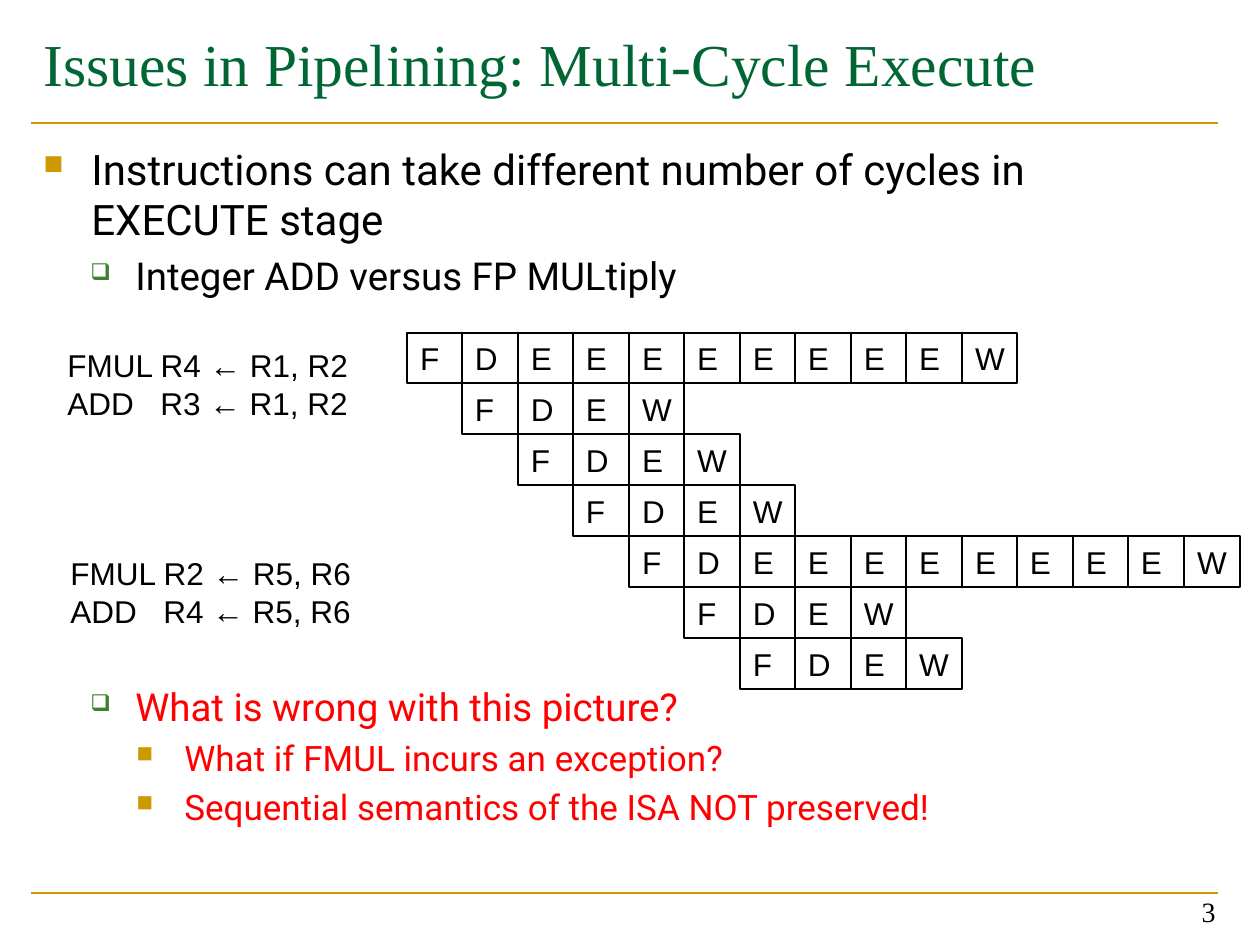
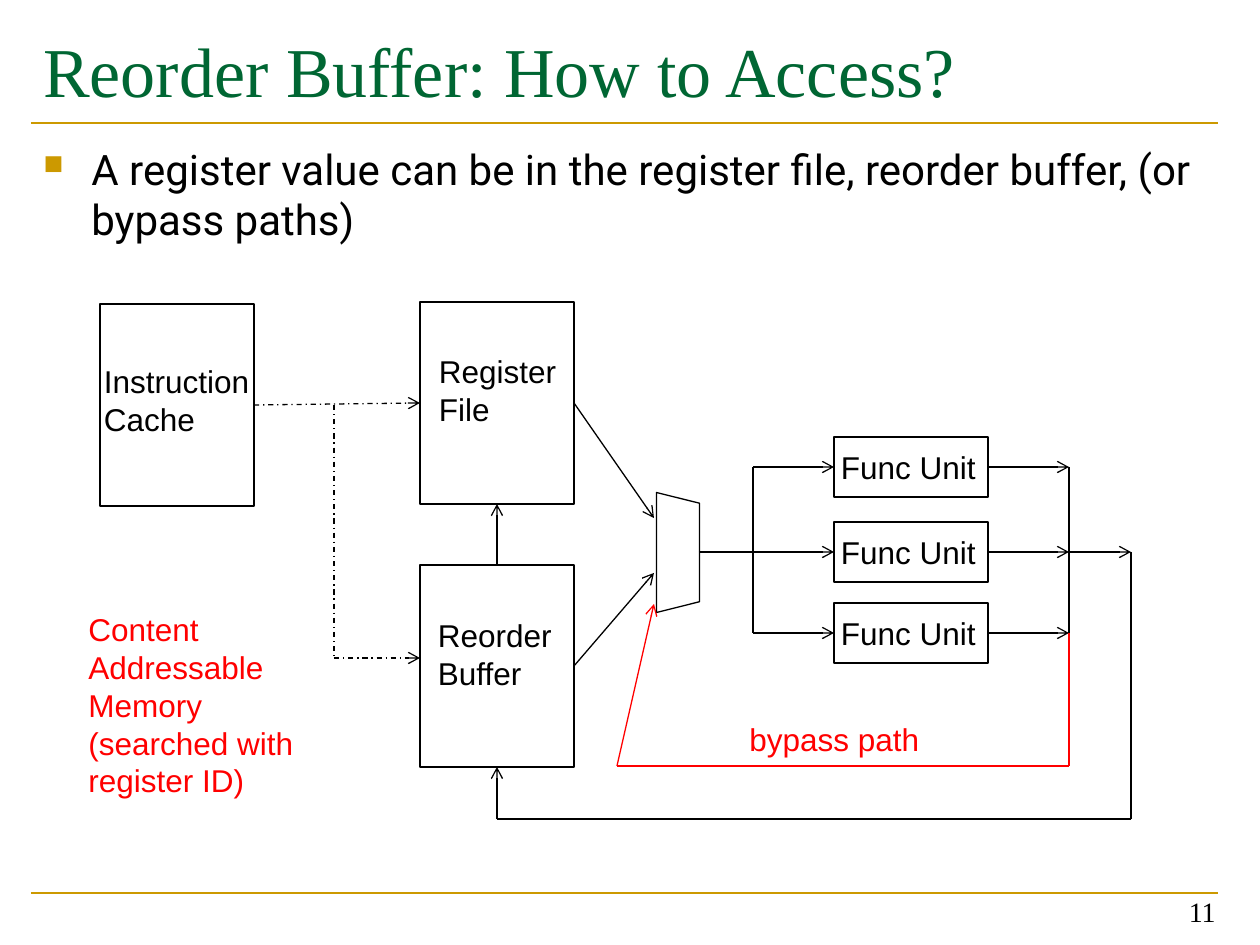
from dataclasses import dataclass
from itertools import pairwise

from lxml.etree import SubElement
from pptx import Presentation
from pptx.dml.color import RGBColor
from pptx.enum.dml import MSO_LINE
from pptx.enum.shapes import MSO_CONNECTOR as CONN, MSO_SHAPE as SHAPE
from pptx.enum.text import MSO_ANCHOR as ANCHOR, PP_ALIGN as ALIGN
from pptx.oxml.ns import qn
from pptx.util import Pt

EMU_PER_PX = 914400 / 126
TOP, LEFT, BOTTOM, RIGHT = range(4)  # connection sites of a rectangle


@dataclass(frozen=True)
class Theme:
    gold: str = "CC9900"
    title: str = "006633"
    green: str = "3B812F"
    black: str = "000000"
    white: str = "FFFFFF"
    red: str = "FF0000"
    serif: str = "Times New Roman"
    body: str = "Roboto"
    sans: str = "Arial"
    label_size: int = 18
    page_size: int = 16
    rule_width: float = 1.5
    line_width: float = 0.75


THEME = Theme()

# Per outline level: left margin, hanging indent, bullet, colour, percent, size
LEVELS = (
    (48, 48, "■", THEME.gold, 65, 24),
    (92, 45, "❑", THEME.green, 60, 22),
    (141, 48, "■", THEME.gold, 65, 20),
)


def px(n):
    return round(n * EMU_PER_PX)


def rgb(value):
    return RGBColor.from_string(value)


# Text
def style(p, size, font, color):
    for r in p.runs:
        r.font.size = Pt(size)
        r.font.name = font
        r.font.color.rgb = rgb(color)


def write(tf, text, size=THEME.label_size, font=THEME.sans,
          color=THEME.black, align=ALIGN.LEFT):
    tf.text = text
    for p in tf.paragraphs:
        p.alignment = align
        style(p, size, font, color)


def add_text(slide, x, y, w, h, text, wrap=False, **look):
    sp = slide.shapes.add_textbox(px(x), px(y), px(w), px(h))
    tf = sp.text_frame
    tf.word_wrap = wrap
    write(tf, text, **look)
    return tf


def add_code(slide, x, y, text):
    """Two instructions whose operands line up at a tab stop."""
    tf = add_text(slide, x, y, 308, 90, text)
    for p in tf.paragraphs:
        tabs = SubElement(p._p.get_or_add_pPr(), qn("a:tabLst"))
        SubElement(tabs, qn("a:tab"), pos=str(px(93)), algn="l")


def add_outline(slide, items):
    """Bulleted body; each item is (level, text, colour, space before)."""
    tf = add_text(slide, 31, 137, 1187, 716,
                  "\n".join(text for _, text, _, _ in items), wrap=True)
    for p, (level, _, color, before) in zip(tf.paragraphs, items):
        margin, hang, char, bullet_color, percent, size = LEVELS[level]
        style(p, size, THEME.body, color)
        p.level = level
        p.space_before = Pt(before or size * 0.2)
        pPr = p._p.get_or_add_pPr()
        pPr.set("marL", str(px(margin)))
        pPr.set("indent", str(-px(hang)))
        clr = SubElement(pPr, qn("a:buClr"))
        SubElement(clr, qn("a:srgbClr"), val=bullet_color)
        SubElement(pPr, qn("a:buSzPct"), val=str(percent * 1000))
        SubElement(pPr, qn("a:buChar"), char=char)


# Shapes and lines
def add_box(slide, x, y, w, h, label="", inset=13, lift=0,
            kind=SHAPE.RECTANGLE):
    sp = slide.shapes.add_shape(kind, px(x), px(y), px(w), px(h))
    sp.shadow.inherit = False
    sp.fill.solid()
    sp.fill.fore_color.rgb = rgb(THEME.white)
    sp.line.color.rgb = rgb(THEME.black)
    sp.line.width = Pt(THEME.line_width)
    tf = sp.text_frame
    tf.word_wrap = True
    tf.vertical_anchor = ANCHOR.MIDDLE
    tf.margin_left = px(inset)
    tf.margin_top = tf.margin_right = 0
    tf.margin_bottom = px(2 * lift)
    if label:
        write(tf, label)
    return sp


def add_line(slide, start, end, color=THEME.black, width=THEME.line_width,
             dashed=False, arrow=False):
    c = slide.shapes.add_connector(CONN.STRAIGHT, *map(px, start + end))
    c.line.color.rgb = rgb(color)
    c.line.width = Pt(width)
    if dashed:
        c.line.dash_style = MSO_LINE.DASH_DOT
    if arrow:
        SubElement(c.line._get_or_add_ln(), qn("a:tailEnd"), type="arrow")
    SubElement(c._element.spPr, qn("a:effectLst"))
    return c


def add_route(slide, *points, source=None, target=None, arrow=True, **look):
    """Straight pieces through points, joined to (shape, site) at the ends."""
    legs = list(pairwise(points))
    lines = [add_line(slide, a, b, arrow=arrow and i == len(legs), **look)
             for i, (a, b) in enumerate(legs, 1)]
    if source:
        lines[0].begin_connect(*source)
    if target:
        lines[-1].end_connect(*target)


# Frame shared by the slides
def add_framed_slide(prs, title, title_size, number):
    slide = prs.slides.add_slide(prs.slide_layouts[6])
    for y in (893, 123):
        add_line(slide, (31, y), (1218, y), THEME.gold, THEME.rule_width)
    add_text(slide, 31, 21, 1187, 147, title, wrap=True, size=title_size,
             font=THEME.serif, color=THEME.title)
    tf = add_text(slide, 934, 871, 294, 63, str(number), wrap=True,
                  size=THEME.page_size, font=THEME.serif, align=ALIGN.RIGHT)
    tf.vertical_anchor = ANCHOR.BOTTOM
    return slide


# Slide: pipeline timing
def add_pipeline(slide, instructions):
    """Each instruction starts one row lower and one cycle later."""
    left, top, width, height = 407, 333, 833, 356
    rows = len(instructions)
    cycles = max(i + len(s) for i, s in enumerate(instructions))

    def col_x(i):
        return left + width * i // cycles

    def row_y(i):
        return top + height * i // rows

    for row, stages in enumerate(instructions):
        y = row_y(row)
        for col, stage in enumerate(stages, row):
            x = col_x(col)
            add_box(slide, x, y, col_x(col + 1) - x, row_y(row + 1) - y, stage)


def build_multi_cycle(prs):
    slide = add_framed_slide(
        prs, "Issues in Pipelining: Multi-Cycle Execute", 34, 3)
    add_outline(slide, [
        (0, "Instructions can take different number of cycles in EXECUTE stage",
         THEME.black, None),
        (1, "Integer ADD versus FP MULtiply", THEME.black, None),
        (1, "What is wrong with this picture?", THEME.red, 220),
        (2, "What if FMUL incurs an exception?", THEME.red, None),
        (2, "Sequential semantics of the ISA NOT preserved!", THEME.red, None),
    ])
    add, fmul = "FDEW", "FD" + "E" * 8 + "W"
    add_pipeline(slide, [fmul, add, add, add, fmul, add, add])
    add_code(slide, 55, 340, "FMUL R4 ← R1, R2\nADD\tR3 ← R1, R2")
    add_code(slide, 58, 548, "FMUL R2 ← R5, R6\nADD\tR4 ← R5, R6")


# Slide: reorder buffer datapath
def build_reorder_buffer(prs):
    slide = add_framed_slide(prs, "Reorder Buffer: How to Access?", 40, 11)
    add_outline(slide, [
        (0, "A register value can be in the register file, reorder buffer, "
            "(or bypass paths)", THEME.black, None),
    ])

    # Storage blocks and multiplexer
    cache = add_box(slide, 100, 304, 154, 202, "Instruction\nCache", 4, 5)
    regs = add_box(slide, 420, 302, 154, 202, "Register\nFile", 19, 13)
    rob = add_box(slide, 420, 565, 154, 202, "Reorder\nBuffer", 18, 12)
    mux = add_box(slide, 618, 531, 120, 43, kind=SHAPE.TRAPEZOID)
    mux.rotation = 90

    # Functional units between the issue and result buses
    issue_x, result_x, unit_x, unit_w, unit_h = 753, 1069, 834, 154, 60
    unit_tops = (437, 522, 603)
    lanes = [y + unit_h // 2 for y in unit_tops]
    for y, lane in zip(unit_tops, lanes):
        unit = add_box(slide, unit_x, y, unit_w, unit_h, "Func Unit", 7)
        add_route(slide, (issue_x, lane), (unit_x, lane), target=(unit, LEFT))
        add_route(slide, (unit_x + unit_w, lane), (result_x, lane),
                  source=(unit, RIGHT))
    for x in (issue_x, result_x):
        add_line(slide, (x, lanes[0]), (x, lanes[-1]))
    middle, bottom = lanes[1:]
    add_line(slide, (699, middle), (issue_x, middle))

    # Lookup and operand paths
    add_route(slide, (254, 405), (420, 403), source=(cache, RIGHT),
              target=(regs, LEFT), dashed=True)
    add_route(slide, (334, 405), (334, 658), (420, 658), dashed=True)
    add_route(slide, (497, 565), (497, 504), source=(rob, TOP),
              target=(regs, BOTTOM))
    add_route(slide, (574, 403), (654, 518), source=(regs, RIGHT))
    add_route(slide, (574, 666), (654, 573), source=(rob, RIGHT))

    # Write-back and bypass paths
    add_route(slide, (result_x, middle), (1131, middle))
    add_route(slide, (1131, middle), (1131, 819), (497, 819), (497, 767),
              target=(rob, BOTTOM))
    add_route(slide, (result_x, bottom), (result_x, 766), (617, 766),
              (654, 604), color=THEME.red)
    add_text(slide, 737, 714, 197, 50, "bypass path", color=THEME.red)
    add_text(slide, 76, 604, 232, 203, "Content\nAddressable\nMemory\n"
             "(searched with\nregister ID)", color=THEME.red)


def main():
    prs = Presentation()
    prs.slide_width, prs.slide_height = px(1260), px(945)
    build_multi_cycle(prs)
    build_reorder_buffer(prs)
    prs.save("out.pptx")


if __name__ == "__main__":
    main()
